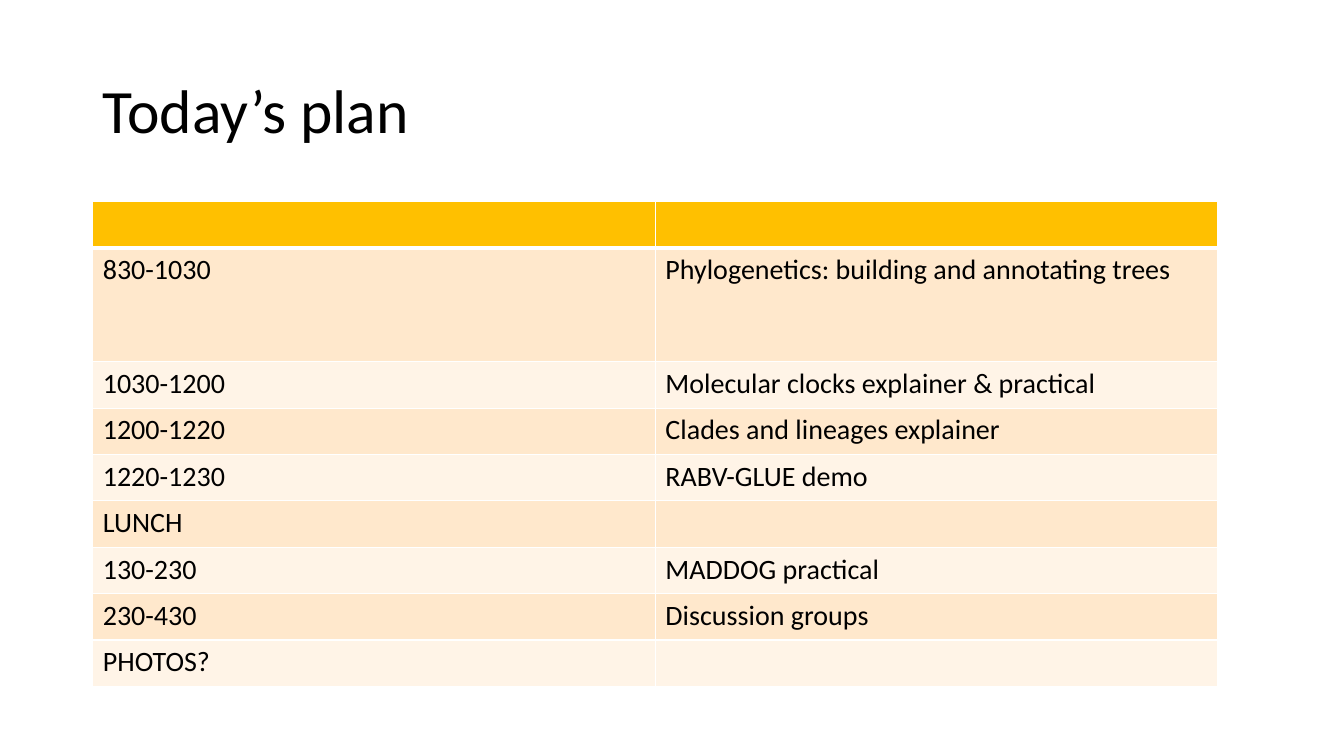
from lxml.etree import SubElement
from pptx import Presentation
from pptx.dml.color import RGBColor
from pptx.enum.text import MSO_ANCHOR
from pptx.oxml.ns import qn
from pptx.util import Inches, Pt

BLACK = RGBColor(0x00, 0x00, 0x00)
WHITE = RGBColor(0xFF, 0xFF, 0xFF)
AMBER = RGBColor(0xFF, 0xC0, 0x00)
PEACH = RGBColor(0xFF, 0xE8, 0xCC)
CREAM = RGBColor(0xFF, 0xF4, 0xE7)

SCHEDULE = [
    ("", ""),
    ("830-1030", "Phylogenetics: building and annotating trees"),
    ("1030-1200", "Molecular clocks explainer & practical"),
    ("1200-1220", "Clades and lineages explainer"),
    ("1220-1230", "RABV-GLUE demo"),
    ("LUNCH", ""),
    ("130-230", "MADDOG practical"),
    ("230-430", "Discussion groups"),
    ("PHOTOS?", ""),
]


def set_font(paragraph, size):
    paragraph.font.name = "Calibri"
    paragraph.font.size = Pt(size)
    paragraph.font.bold = False
    paragraph.font.color.rgb = BLACK


def add_border(cell, side, width):
    properties = cell._tc.get_or_add_tcPr()
    line = SubElement(properties, qn(f"a:ln{side}"), w=str(Pt(width)))
    fill = SubElement(line, qn("a:solidFill"))
    SubElement(fill, qn("a:srgbClr"), val=str(WHITE))


presentation = Presentation()
presentation.slide_width = Inches(13.33)
presentation.slide_height = Inches(7.5)
slide = presentation.slides.add_slide(presentation.slide_layouts[5])

title = slide.shapes.title
title.left, title.top = Inches(0.92), Inches(0.4)
title.width, title.height = Inches(11.5), Inches(1.45)
title.text_frame.text = "Today’s plan"
title.text_frame.vertical_anchor = MSO_ANCHOR.MIDDLE
heading = title.text_frame.paragraphs[0]
heading.alignment = 1
heading.line_spacing = 0.9
set_font(heading, 44)

table = slide.shapes.add_table(
    len(SCHEDULE), 2, Inches(0.92), Inches(2), Inches(11.16), Inches(4.8)
).table

for row_index, entries in enumerate(SCHEDULE):
    table.rows[row_index].height = Inches(1.13 if row_index == 1 else 0.46)
    if row_index == 0:
        row_color = AMBER
    else:
        row_color = PEACH if row_index % 2 else CREAM
    for column_index, entry in enumerate(entries):
        cell = table.cell(row_index, column_index)
        cell.text = entry
        set_font(cell.text_frame.paragraphs[0], 20)
        add_border(cell, "L", 1)
        add_border(cell, "R", 1)
        add_border(cell, "T", 3 if row_index == 1 else 1)
        add_border(cell, "B", 3 if row_index == 0 else 1)
        cell.fill.solid()
        cell.fill.fore_color.rgb = row_color

presentation.save("out.pptx")
